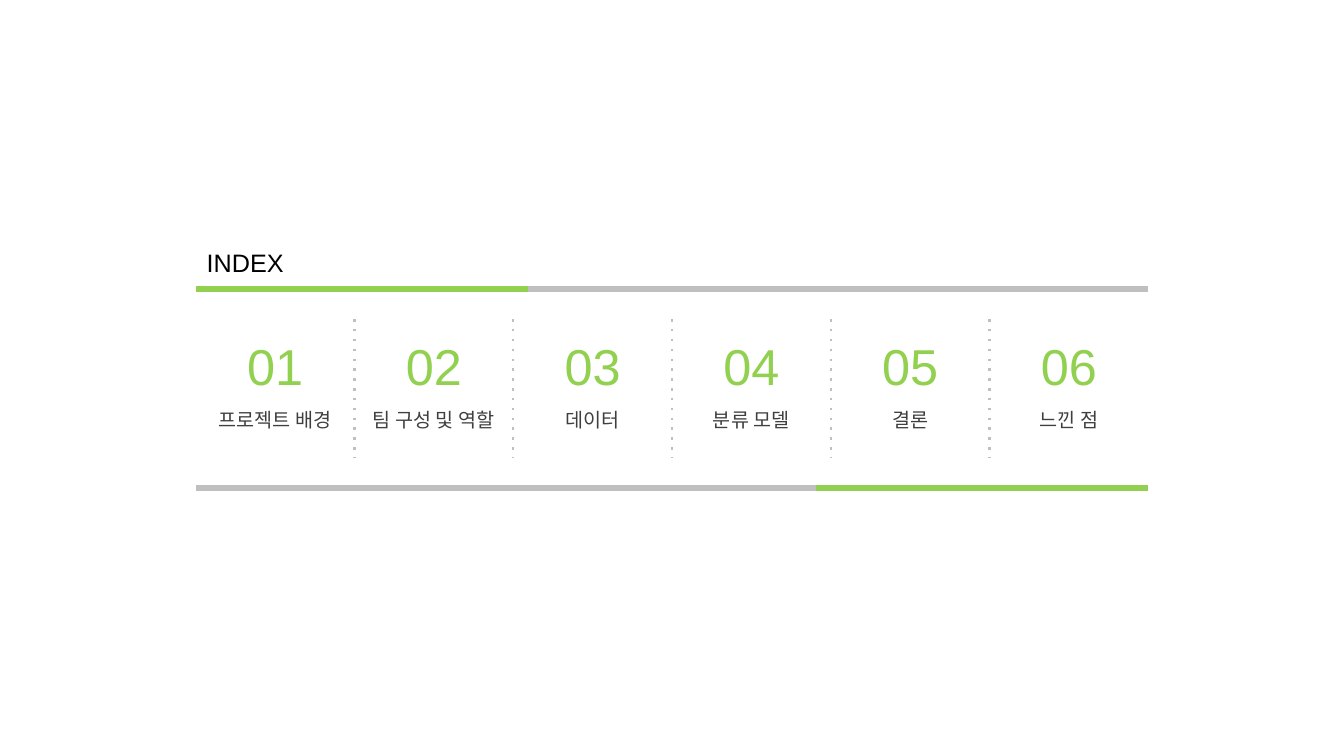
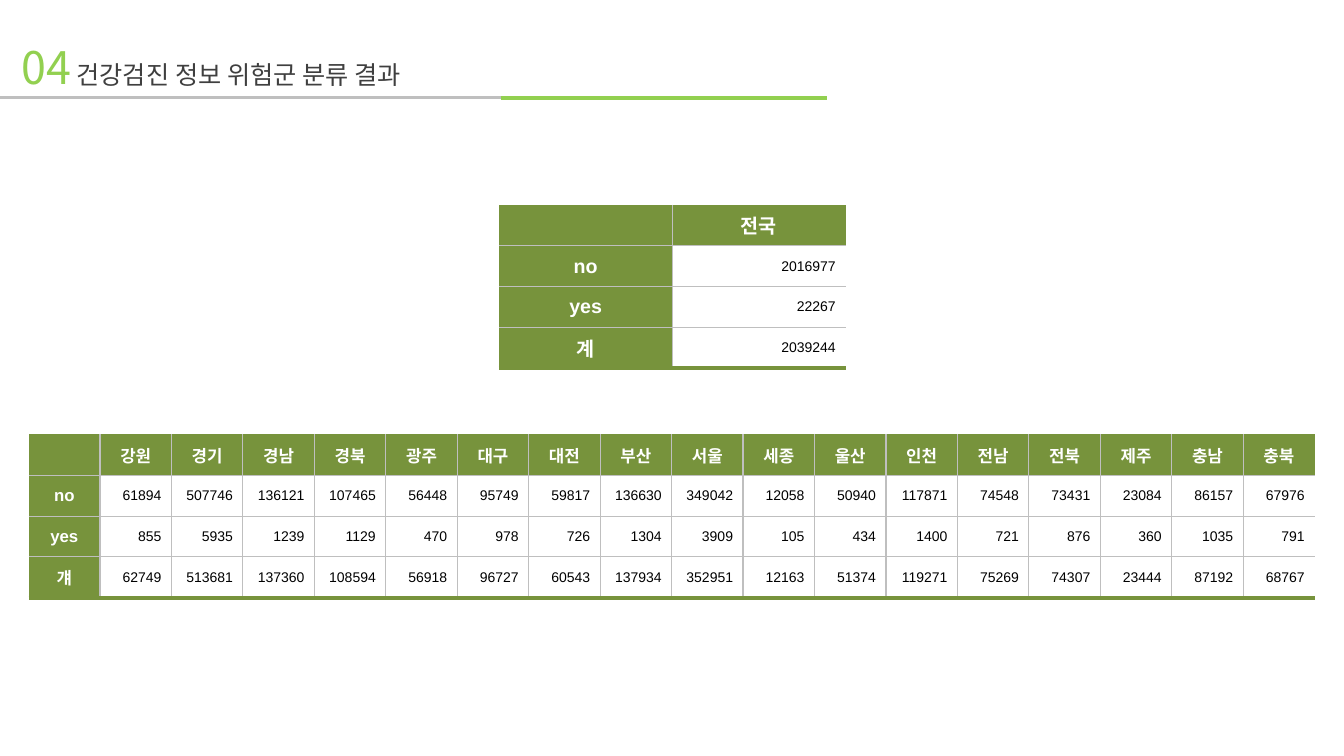
from lxml.etree import SubElement
from pptx import Presentation
from pptx.dml.color import RGBColor
from pptx.enum.shapes import MSO_CONNECTOR
from pptx.enum.text import MSO_ANCHOR, MSO_AUTO_SIZE, PP_ALIGN
from pptx.oxml.ns import qn
from pptx.util import Inches, Pt

COLORS = {"green": "92D050", "olive": "77933C", "gray": "BFBFBF",
          "label": "3F3F3F", "black": "000000", "white": "FFFFFF"}
LATIN, KOREAN = "Arial", "Noto Sans CJK KR"
COLUMNS, ROWS = 80, 45
TITLE_ONLY = 5

# Index grid, in columns and rows
INDEX_LEFT, INDEX_RIGHT = 11.65, 68.35
INDEX_TOP, INDEX_BOTTOM = 17.2, 29.05
TOPICS = ["프로젝트 배경", "팀 구성 및 역할", "데이터", "분류 모델", "결론", "느낀 점"]

NATION = [["", "전국"], ["no", 2016977], ["yes", 22267], ["계", 2039244]]
REGIONS = [
    ["", "강원", "경기", "경남", "경북", "광주", "대구", "대전", "부산", "서울",
     "세종", "울산", "인천", "전남", "전북", "제주", "충남", "충북"],
    ["no", 61894, 507746, 136121, 107465, 56448, 95749, 59817, 136630, 349042,
     12058, 50940, 117871, 74548, 73431, 23084, 86157, 67976],
    ["yes", 855, 5935, 1239, 1129, 470, 978, 726, 1304, 3909,
     105, 434, 1400, 721, 876, 360, 1035, 791],
    ["걔", 62749, 513681, 137360, 108594, 56918, 96727, 60543, 137934, 352951,
     12163, 51374, 119271, 75269, 74307, 23444, 87192, 68767],
]


def add_text(paragraph, text, size, color, font=LATIN, bold=False, align=None, spacing=None):
    run = paragraph.add_run()
    run.text = text
    run.font.size = Pt(size)
    run.font.bold = bold
    run.font.name = font
    run.font.color.rgb = RGBColor.from_string(COLORS[color])
    SubElement(run.font._element, qn("a:ea"), typeface=KOREAN)
    if align is not None:
        paragraph.alignment = align
    if spacing is not None:
        paragraph.line_spacing = spacing


def set_border(cell, side, color=None, width=0):
    """Draw one side (L, R, T or B) of a cell, or hide it when no color is given."""
    properties = cell._tc.get_or_add_tcPr()
    border = SubElement(properties, qn(f"a:ln{side}"), w=str(Pt(width)))
    if color:
        fill = SubElement(border, qn("a:solidFill"))
        SubElement(fill, qn("a:srgbClr"), val=COLORS[color])
    else:
        SubElement(border, qn("a:noFill"))


class Deck:
    def __init__(self):
        self.presentation = Presentation()
        self.presentation.slide_width = Inches(13.33)
        self.presentation.slide_height = Inches(7.5)
        self.slide = None

    def x(self, columns):
        return round(self.presentation.slide_width * columns / COLUMNS)

    def y(self, rows):
        return round(self.presentation.slide_height * rows / ROWS)

    def box(self, left, top, width, height):
        return self.x(left), self.y(top), self.x(width), self.y(height)

    def add_slide(self):
        layout = self.presentation.slide_layouts[TITLE_ONLY]
        self.slide = self.presentation.slides.add_slide(layout)

    def title(self, left, top, width, height):
        """Place the title and return its paragraph."""
        title = self.slide.shapes.title
        title.left, title.top, title.width, title.height = self.box(left, top, width, height)
        frame = title.text_frame
        frame.auto_size = MSO_AUTO_SIZE.NONE
        frame.vertical_anchor = MSO_ANCHOR.TOP
        paragraph = frame.paragraphs[0]
        paragraph.alignment = PP_ALIGN.LEFT
        return paragraph

    def line(self, start, end, color, width, dash=None):
        connector = self.slide.shapes.add_connector(
            MSO_CONNECTOR.STRAIGHT, self.x(start[0]), self.y(start[1]),
            self.x(end[0]), self.y(end[1]))
        connector.line.color.rgb = RGBColor.from_string(COLORS[color])
        connector.line.width = Pt(width)
        properties = connector._element.spPr
        if dash:
            SubElement(properties.find(qn("a:ln")), qn("a:prstDash"), val=dash)
        SubElement(properties, qn("a:effectLst"))

    def rule(self, left, right, row, color, width):
        self.line((left, row), (right, row), color, width)

    def topic(self, left, top, width, height, number, name):
        frame = self.slide.shapes.add_textbox(*self.box(left, top, width, height)).text_frame
        frame.word_wrap = True
        layout = {"align": PP_ALIGN.CENTER, "spacing": 1.5}
        add_text(frame.paragraphs[0], f"{number:02}", 36, "green", **layout)
        add_text(frame.add_paragraph(), name, 14, "label", **layout)

    def table(self, left, top, width, height, data, header_size, border_width):
        row_count, column_count = len(data), len(data[0])
        table = self.slide.shapes.add_table(
            row_count, column_count, *self.box(left, top, width, height)).table
        table.first_row = table.horz_banding = False
        for row, values in enumerate(data):
            for column, value in enumerate(values):
                cell = table.cell(row, column)
                cell.vertical_anchor = MSO_ANCHOR.MIDDLE
                inner = {"L": column > 0, "R": column < column_count - 1, "T": row > 0}
                for side, shown in inner.items():
                    set_border(cell, side, "gray" if shown else None, border_width)
                if row == row_count - 1:
                    set_border(cell, "B", "olive", 3)
                else:
                    set_border(cell, "B", "gray", border_width)
                header = row == 0 or column == 0
                if header:
                    cell.fill.solid()
                    cell.fill.fore_color.rgb = RGBColor.from_string(COLORS["olive"])
                else:
                    cell.fill.background()
                if value == "":
                    continue
                paragraph = cell.text_frame.paragraphs[0]
                if header:
                    add_text(paragraph, value, header_size, "white", bold=True,
                             align=PP_ALIGN.CENTER)
                else:
                    add_text(paragraph, str(value), 10, "black", align=PP_ALIGN.RIGHT)


def add_index(deck):
    deck.add_slide()
    add_text(deck.title(11.7, 14.4, 37.8, 2.4), "INDEX", 18, "black")
    deck.rule(31, INDEX_RIGHT, INDEX_TOP, "gray", 4.5)
    deck.rule(INDEX_LEFT, 31.4, INDEX_TOP, "green", 4.5)
    deck.rule(INDEX_LEFT, 49, INDEX_BOTTOM, "gray", 4.5)
    deck.rule(48.6, INDEX_RIGHT, INDEX_BOTTOM, "green", 4.5)
    pitch = (INDEX_RIGHT - INDEX_LEFT) / len(TOPICS)
    for index, name in enumerate(TOPICS):
        left = INDEX_LEFT + index * pitch
        deck.topic(left, 17.88, pitch, 8.16, index + 1, name)
        if index:
            deck.line((left, 19), (left, 27.25), "gray", 1.75, dash="dot")


def add_results(deck):
    deck.add_slide()
    title = deck.title(0.66, 2.04, 58.4, 3.84)
    add_text(title, "04", 32, "green", font=KOREAN)
    add_text(title, " 건강검진 정보 위험군 분류 결과", 18, "label", font=KOREAN)
    deck.rule(0, 44.5, 5.82, "gray", 2.5)
    deck.rule(29.8, 49.2, 5.82, "green", 3)
    deck.table(29.7, 12.2, 20.64, 9.72, NATION, header_size=14, border_width=0.75)
    deck.table(1.7, 25.86, 76.56, 9.72, REGIONS, header_size=12, border_width=1)


def main():
    deck = Deck()
    add_index(deck)
    add_results(deck)
    deck.presentation.save("out.pptx")


if __name__ == "__main__":
    main()
